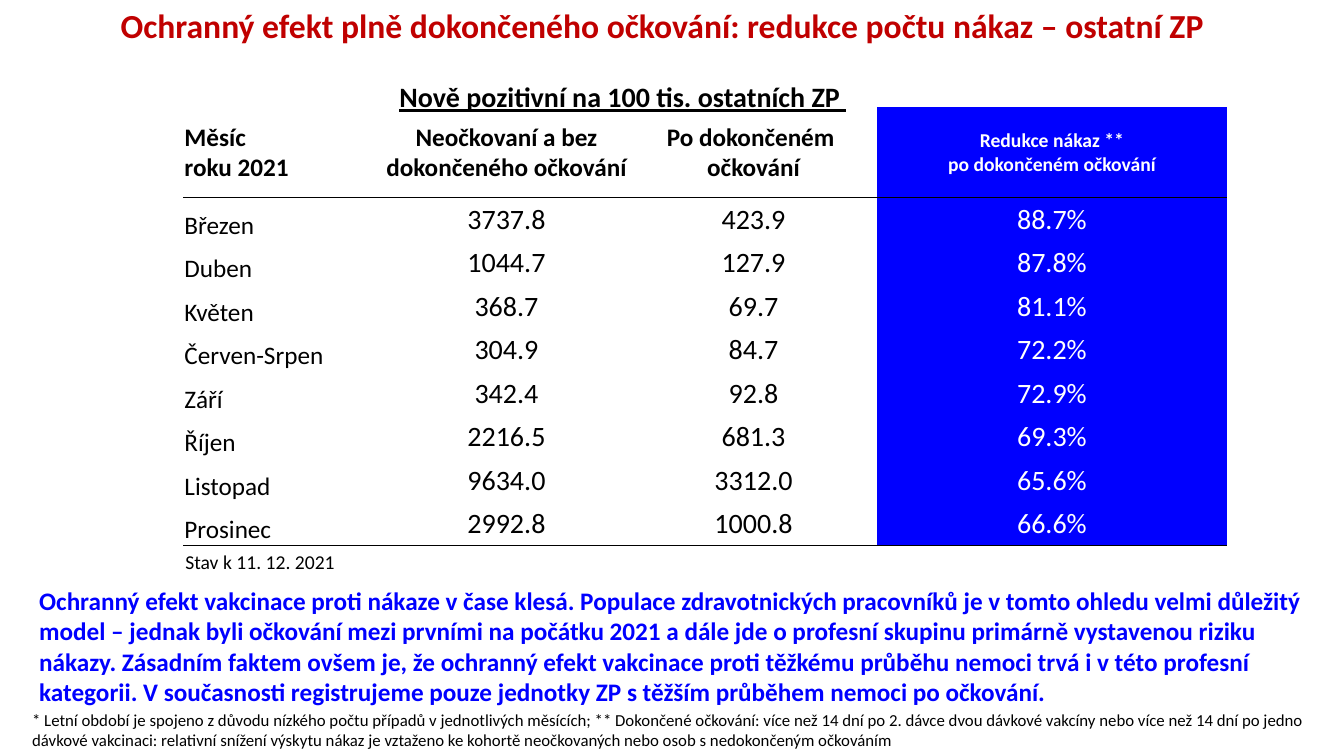
from lxml import etree
from pptx import Presentation, util as u
from pptx.dml.color import RGBColor
from pptx.enum import text
from pptx.oxml.ns import qn

COLORS = {"heading": "C00000", "ink": "000000", "accent": "0000FF", "light": "FFFFFF"}
FONT = "Calibri"
NO_GRID_STYLE = "{2D5ABB26-0587-4C30-8999-92F81FD0307C}"

MONTH_HEADER = "Měsíc\nroku 2021"
RATE_HEADERS = ["Neočkovaní a bez dokončeného očkování", "Po dokončeném \nočkování"]
REDUCTION_HEADER = "Redukce nákaz **\npo dokončeném očkování"
MONTHS = [
    ("Březen", "3737.8", "423.9", "88.7%"),
    ("Duben", "1044.7", "127.9", "87.8%"),
    ("Květen", "368.7", "69.7", "81.1%"),
    ("Červen-Srpen", "304.9", "84.7", "72.2%"),
    ("Září", "342.4", "92.8", "72.9%"),
    ("Říjen", "2216.5", "681.3", "69.3%"),
    ("Listopad", "9634.0", "3312.0", "65.6%"),
    ("Prosinec", "2992.8", "1000.8", "66.6%"),
]
CONCLUSION = (
    "Ochranný efekt vakcinace proti nákaze v čase klesá. Populace zdravotnických "
    "pracovníků je v tomto ohledu velmi důležitý model – jednak byli očkování mezi "
    "prvními na počátku 2021 a dále jde o profesní skupinu primárně vystavenou riziku "
    "nákazy. Zásadním faktem ovšem je, že ochranný efekt vakcinace proti těžkému průběhu "
    "nemoci trvá i v této profesní kategorii. V současnosti registrujeme pouze jednotky "
    "ZP s těžším průběhem nemoci po očkování."
)
FOOTNOTE = (
    "* Letní období je spojeno z důvodu nízkého počtu případů v jednotlivých měsících; "
    "** Dokončené očkování: více než 14 dní po 2. dávce dvou dávkové vakcíny nebo více "
    "než 14 dní po jedno dávkové vakcinaci: relativní snížení výskytu nákaz je vztaženo "
    "ke kohortě neočkovaných nebo osob s nedokončeným očkováním"
)


def write(frame, content, size=18, color="ink", bold=False, underline=False,
          centred=False, spacing=1.0):
    """Fill a text frame, one paragraph per line of content."""
    for number, line in enumerate(content.split("\n")):
        paragraph = frame.add_paragraph() if number else frame.paragraphs[0]
        paragraph.alignment = text.PP_ALIGN.CENTER if centred else text.PP_ALIGN.LEFT
        paragraph.line_spacing = spacing
        paragraph.space_before = u.Pt(0)
        run = paragraph.add_run()
        run.text = line
        run.font.name, run.font.size = FONT, u.Pt(size)
        run.font.bold, run.font.underline = bold, underline
        run.font.color.rgb = RGBColor.from_string(COLORS[color])


class SlideBuilder:
    """Places elements by percent of the slide's width and height."""

    def __init__(self, deck):
        self.deck = deck
        self.slide = deck.slides.add_slide(deck.slide_layouts[5])

    def across(self, share):
        return round(self.deck.slide_width * share / 100)

    def down(self, share):
        return round(self.deck.slide_height * share / 100)

    def place(self, left, top, width, height):
        return self.across(left), self.down(top), self.across(width), self.down(height)

    def title(self, content, at, **style):
        heading = self.slide.shapes.title
        heading.left, heading.top, heading.width, heading.height = self.place(*at)
        frame = heading.text_frame
        frame.auto_size = text.MSO_AUTO_SIZE.NONE
        frame.vertical_anchor = text.MSO_ANCHOR.TOP
        write(frame, content, **style)

    def note(self, content, at, **style):
        frame = self.slide.shapes.add_textbox(*self.place(*at)).text_frame
        frame.word_wrap = True
        write(frame, content, **style)

    def table(self, left, top, columns, rows):
        grid = self.slide.shapes.add_table(
            len(rows), len(columns),
            *self.place(left, top, sum(columns), sum(rows))).table
        grid.first_row = grid.horz_banding = False
        grid._tbl.tblPr.find(qn("a:tableStyleId")).text = NO_GRID_STYLE
        for column, share in zip(grid.columns, columns):
            column.width = self.across(share)
        for row, share in zip(grid.rows, rows):
            row.height = self.down(share)
        for cell in grid.iter_cells():
            cell.fill.background()
        return grid

    def cell(self, cell, content, fill=None, anchor="MIDDLE", ruled=False, **style):
        cell.margin_left = cell.margin_right = cell.margin_top = u.Inches(0.01)
        cell.margin_bottom = 0
        cell.vertical_anchor = text.MSO_ANCHOR[anchor]
        if fill:
            cell.fill.solid()
            cell.fill.fore_color.rgb = RGBColor.from_string(COLORS[fill])
        if ruled:
            rule = etree.Element(qn("a:lnB"), w=str(u.Pt(1)))
            ink = etree.SubElement(rule, qn("a:solidFill"))
            etree.SubElement(ink, qn("a:srgbClr"), val=COLORS["ink"])
            cell._tc.get_or_add_tcPr().insert(0, rule)
        write(cell.text_frame, content, **style)


def main():
    deck = Presentation()
    deck.slide_width, deck.slide_height = u.Inches(13.33), u.Inches(7.5)
    page = SlideBuilder(deck)

    # Headings
    page.title("Ochranný efekt plně dokončeného očkování: redukce počtu nákaz – ostatní ZP",
               (1.65, 0.53, 95.25, 19.33), size=24, color="heading", bold=True,
               centred=True, spacing=0.9)
    page.note("Nově pozitivní na 100 tis. ostatních ZP ", (28.58, 9.87, 35.56, 5.87),
              size=20, bold=True, underline=True, centred=True)

    # Footnote
    page.note(FOOTNOTE, (1.65, 93.2, 97.45, 6.67), size=12)

    # Infection table: empty top row, header row, one row per month
    infections = page.table(13.65, 8.4, [14.85, 18.38, 18.38, 26.03],
                            [5.75, 12] + [5.75] * len(MONTHS))
    infections.cell(0, 2).merge(infections.cell(0, 3))
    page.cell(infections.cell(1, 0), MONTH_HEADER, ruled=True, bold=True)
    for column, header in enumerate(RATE_HEADERS, start=1):
        page.cell(infections.cell(1, column), header, ruled=True, bold=True, centred=True)
    page.cell(infections.cell(1, 3), REDUCTION_HEADER, fill="accent", ruled=True,
              size=14, color="light", bold=True, centred=True)
    for row, (month, *rates, reduction) in enumerate(MONTHS, start=2):
        last = row == len(MONTHS) + 1
        page.cell(infections.cell(row, 0), month, anchor="BOTTOM", ruled=last)
        for column, rate in enumerate(rates, start=1):
            page.cell(infections.cell(row, column), rate, ruled=last, size=20, centred=True)
        page.cell(infections.cell(row, 3), reduction, fill="accent", ruled=last,
                  size=20, color="light", centred=True)

    # Data date and conclusion
    page.note("Stav k 11. 12. 2021", (13.05, 72.13, 16.58, 4.53), size=14)
    page.note(CONCLUSION, (2.18, 76.8, 96.55, 17.47), color="accent", bold=True)

    deck.save("out.pptx")


if __name__ == "__main__":
    main()
